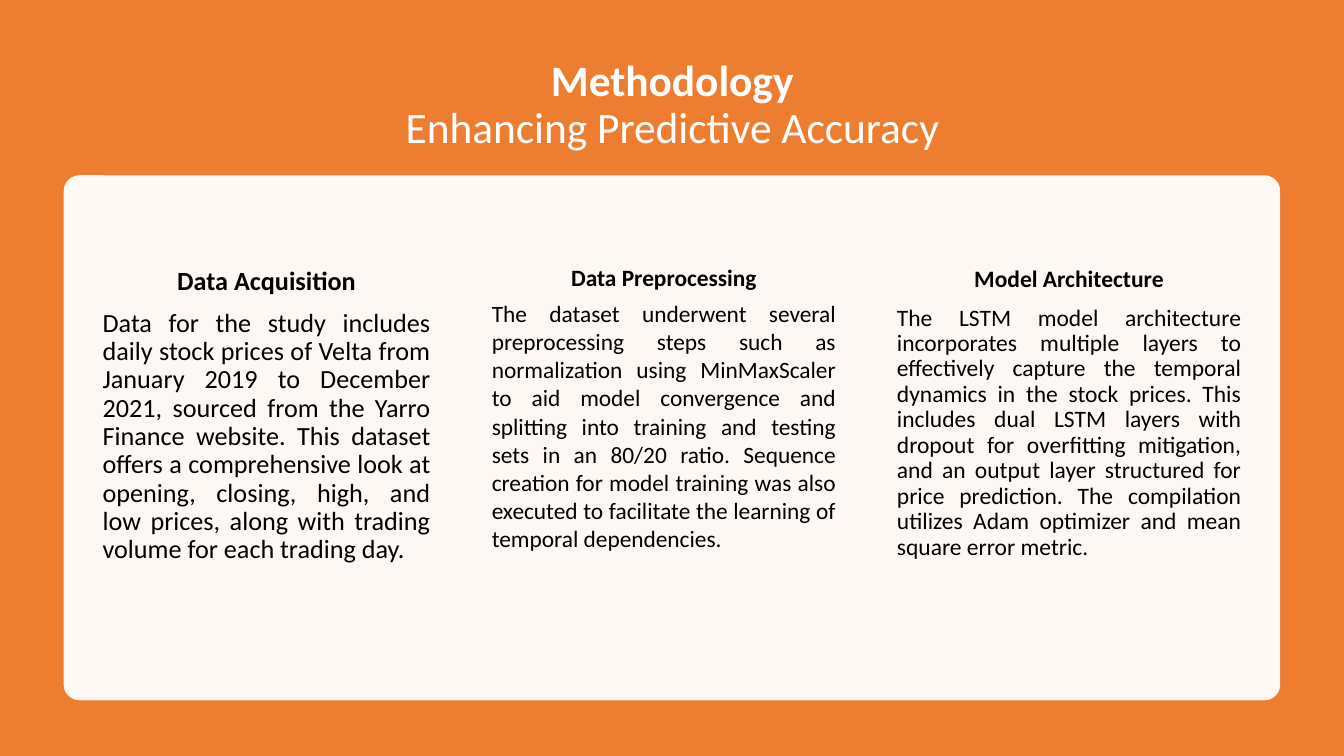
"""Build the methodology slide: a title over three columns on a card."""
from dataclasses import dataclass

from lxml.etree import SubElement
from pptx import Presentation
from pptx.dml.color import RGBColor
from pptx.enum.shapes import MSO_SHAPE
from pptx.enum.text import MSO_ANCHOR, PP_ALIGN
from pptx.oxml.ns import qn
from pptx.shapes.autoshape import Shape
from pptx.slide import Slide
from pptx.text.text import TextFrame, _Paragraph
from pptx.util import Pt

ORANGE = RGBColor(0xED, 0x7D, 0x31)
WHITE = RGBColor(0xFF, 0xFF, 0xFF)
BLACK = RGBColor(0x00, 0x00, 0x00)
FONT = "Calibri"
WIDE, HIGH = 960, 540


@dataclass(frozen=True)
class Box:
    left: float
    top: float
    width: float
    height: float

    def points(self) -> tuple[Pt, Pt, Pt, Pt]:
        return Pt(self.left), Pt(self.top), Pt(self.width), Pt(self.height)


@dataclass(frozen=True)
class Column:
    box: Box
    size: float
    head: str
    body: str
    line: float = 0.9
    before: float = 9.5
    after: float = 0


COLUMNS = [
    Column(
        Box(66.2, 187.9, 248.4, 248.4), 18.7, "Data Acquisition",
        "Data for the study includes daily stock prices of Velta from January "
        "2019 to December 2021, sourced from the Yarro Finance website. This "
        "dataset offers a comprehensive look at opening, closing, high, and "
        "low prices, along with trading volume for each trading day."),
    Column(
        Box(344.2, 184.3, 260, 254.2), 16.7, "Data Preprocessing",
        "The dataset underwent several preprocessing steps such as "
        "normalization using MinMaxScaler to aid model convergence and "
        "splitting into training and testing sets in an 80/20 ratio. Sequence "
        "creation for model training was also executed to facilitate the "
        "learning of temporal dependencies.",
        line=1.0, before=0, after=6),
    Column(
        Box(633.6, 187.2, 260, 254.2), 16.8, "Model Architecture",
        "The LSTM model architecture incorporates multiple layers to "
        "effectively capture the temporal dynamics in the stock prices. This "
        "includes dual LSTM layers with dropout for overfitting mitigation, "
        "and an output layer structured for price prediction. The compilation "
        "utilizes Adam optimizer and mean square error metric."),
]


def write(par: _Paragraph, text: str, *, size: float, color: RGBColor,
          bold: bool = False) -> None:
    run = par.add_run()
    run.text = text
    run.font.name = FONT
    run.font.size = Pt(size)
    run.font.bold = bold
    run.font.color.rgb = color


def add_frame(slide: Slide, box: Box) -> TextFrame:
    frame = slide.shapes.add_textbox(*box.points()).text_frame
    frame.word_wrap = True
    return frame


def add_panel(slide: Slide, kind: MSO_SHAPE, box: Box,
              color: RGBColor) -> Shape:
    panel = slide.shapes.add_shape(kind, *box.points())
    panel.shadow.inherit = False
    panel.fill.solid()
    panel.fill.fore_color.rgb = color
    panel.line.fill.background()
    return panel


def add_title(slide: Slide) -> None:
    frame = add_frame(slide, Box(66.2, 36, 828, 79.2))
    frame.vertical_anchor = MSO_ANCHOR.MIDDLE
    par = frame.paragraphs[0]
    par.alignment = PP_ALIGN.CENTER
    par.line_spacing = 0.9
    write(par, "Methodology", size=31, color=WHITE, bold=True)
    par.add_line_break()
    write(par, "Enhancing Predictive Accuracy", size=31, color=WHITE)


def add_card(slide: Slide) -> None:
    card = add_panel(slide, MSO_SHAPE.ROUNDED_RECTANGLE,
                     Box(45.5, 125.2, 869, 375), WHITE)
    card.adjustments[0] = 0.03
    tint = card.fill._xPr.find(".//" + qn("a:srgbClr"))
    SubElement(tint, qn("a:alpha"), val="95000")


def add_column(slide: Slide, column: Column) -> None:
    frame = add_frame(slide, column.box)
    head, body = frame.paragraphs[0], frame.add_paragraph()
    head.alignment, body.alignment = PP_ALIGN.CENTER, PP_ALIGN.JUSTIFY
    for par in (head, body):
        par.line_spacing = column.line
        par.space_before = Pt(column.before)
        par.space_after = Pt(column.after)
    write(head, column.head, size=column.size, color=BLACK, bold=True)
    write(body, column.body, size=column.size, color=BLACK)


def main() -> None:
    deck = Presentation()
    deck.slide_width, deck.slide_height = Pt(WIDE), Pt(HIGH)
    slide = deck.slides.add_slide(deck.slide_layouts[6])
    add_panel(slide, MSO_SHAPE.RECTANGLE, Box(0, 0, WIDE, HIGH), ORANGE)
    add_title(slide)
    add_card(slide)
    for column in COLUMNS:
        add_column(slide, column)
    deck.save("out.pptx")


if __name__ == "__main__":
    main()
